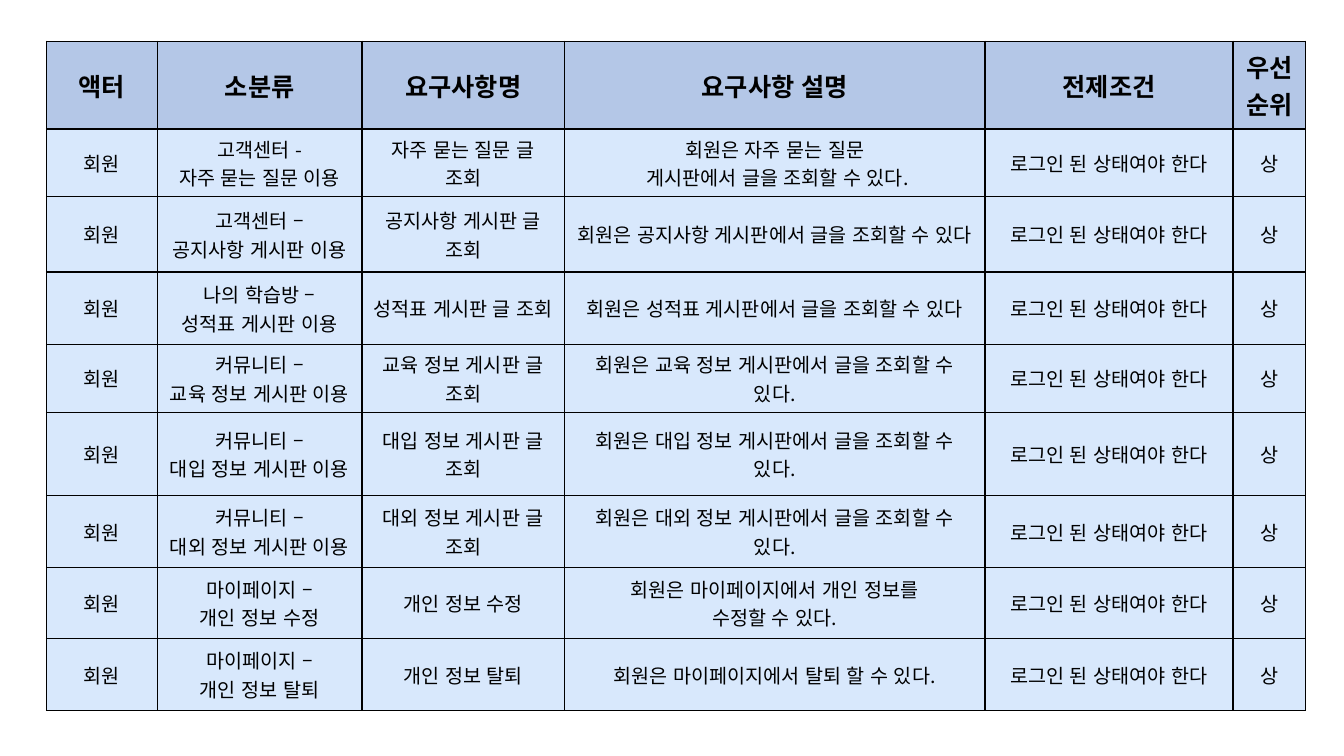
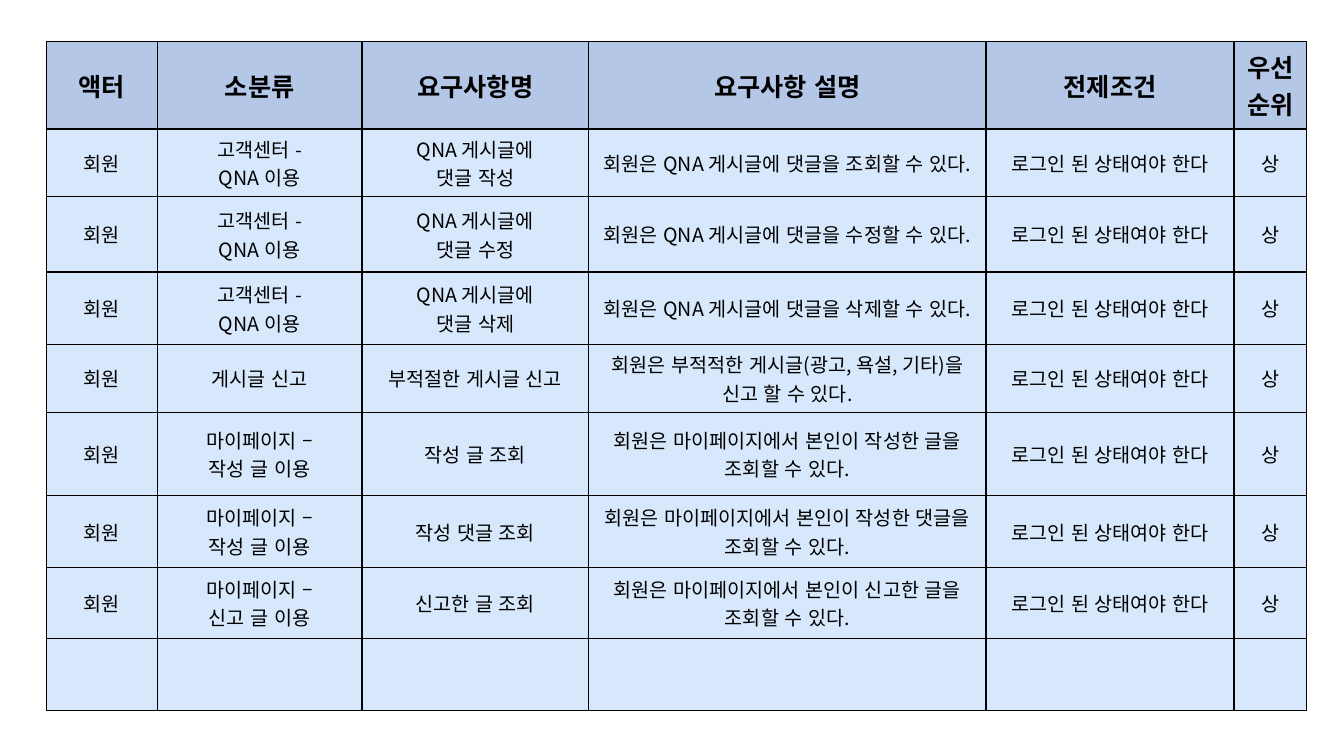
from dataclasses import dataclass

import pptx
import pptx.dml.color
import pptx.enum.lang
import pptx.enum.text
import pptx.oxml
import pptx.oxml.ns
import pptx.presentation
import pptx.table
import pptx.util

Inches = pptx.util.Inches
RGBColor = pptx.dml.color.RGBColor

# Shared look
FONT = "Noto Sans CJK KR"
BLACK = RGBColor(0x00, 0x00, 0x00)
HEADER_BLUE = RGBColor(0xB4, 0xC7, 0xE7)
BODY_BLUE = RGBColor(0xD8, 0xE8, 0xFC)
BORDER_WIDTH = pptx.util.Pt(1)
LEFT, TOP = 0.46, 0.41
ROW_HEIGHTS = (0.87, 0.67, 0.75, 0.72, 0.67, 0.83, 0.71, 0.71, 0.71)
HEADINGS = ("액터", "소분류", "요구사항명", "요구사항 설명", "전제조건", "우선순위")


@dataclass(frozen=True)
class CellStyle:
    fill: RGBColor
    size: int
    bold: bool


HEADER_STYLE = CellStyle(HEADER_BLUE, 18, True)
BODY_STYLE = CellStyle(BODY_BLUE, 14, False)


@dataclass(frozen=True)
class Requirement:
    category: str
    title: str
    description: str
    actor: str = "회원"
    precondition: str = "로그인 된 상태여야 한다"
    priority: str = "상"

    def texts(self) -> tuple[str, ...]:
        return (self.actor, self.category, self.title,
                self.description, self.precondition, self.priority)


@dataclass(frozen=True)
class RequirementPage:
    column_widths: tuple[float, ...]
    requirements: tuple[Requirement, ...]


# Content
def board_reading(topic: str) -> Requirement:
    return Requirement(f"커뮤니티 –\n{topic} 정보 게시판 이용",
                       f"{topic} 정보 게시판 글 조회",
                       f"회원은 {topic} 정보 게시판에서 글을 조회할 수 있다.")


def qna_comment(action: str, viewed: str) -> Requirement:
    return Requirement("고객센터 -\nQNA 이용",
                       f"QNA 게시글에\n댓글 {action}",
                       f"회원은 QNA 게시글에 댓글을 {viewed}할 수 있다.")


def own_posts(category: str, title: str, target: str) -> Requirement:
    return Requirement(f"마이페이지 –\n{category} 글 이용",
                       f"{title} 조회",
                       f"회원은 마이페이지에서 본인이 {target}을\n조회할 수 있다.")


PAGES = (
    RequirementPage((1.1, 2.03, 2.01, 4.17, 2.46, 0.72), (
        Requirement("고객센터 -\n자주 묻는 질문 이용", "자주 묻는 질문 글 조회",
                    "회원은 자주 묻는 질문\n 게시판에서 글을 조회할 수 있다."),
        Requirement("고객센터 –\n공지사항 게시판 이용", "공지사항 게시판 글\n조회",
                    "회원은 공지사항 게시판에서 글을 조회할 수 있다"),
        Requirement("나의 학습방 –\n성적표 게시판 이용", "성적표 게시판 글 조회",
                    "회원은 성적표 게시판에서 글을 조회할 수 있다"),
        board_reading("교육"),
        board_reading("대입"),
        board_reading("대외"),
        Requirement("마이페이지 –\n개인 정보 수정", "개인 정보 수정",
                    "회원은 마이페이지에서 개인 정보를\n수정할 수 있다."),
        Requirement("마이페이지 –\n개인 정보 탈퇴", "개인 정보 탈퇴",
                    "회원은 마이페이지에서 탈퇴 할 수 있다."),
    )),
    RequirementPage((1.1, 2.03, 2.25, 3.94, 2.46, 0.72), (
        qna_comment("작성", "조회"),
        qna_comment("수정", "수정"),
        qna_comment("삭제", "삭제"),
        Requirement("게시글 신고", "부적절한 게시글 신고",
                    "회원은 부적적한 게시글(광고, 욕설, 기타)을 신고 할 수 있다."),
        own_posts("작성", "작성 글", "작성한 글"),
        own_posts("작성", "작성 댓글", "작성한 댓글"),
        own_posts("신고", "신고한 글", "신고한 글"),
    )),
)


# Cell drawing
def add_borders(cell: pptx.table._Cell) -> None:
    properties = cell._tc.get_or_add_tcPr()
    for side in ("lnL", "lnR", "lnT", "lnB"):
        properties.append(pptx.oxml.parse_xml(
            f'<a:{side} {pptx.oxml.ns.nsdecls("a")} w="{BORDER_WIDTH}">'
            f'<a:solidFill><a:srgbClr val="{BLACK}"/></a:solidFill></a:{side}>'))


def write_cell(cell: pptx.table._Cell, text: str, style: CellStyle) -> None:
    add_borders(cell)
    cell.fill.solid()
    cell.fill.fore_color.rgb = style.fill
    cell.vertical_anchor = pptx.enum.text.MSO_ANCHOR.MIDDLE
    cell.text = text
    font_format = {"name": FONT, "size": pptx.util.Pt(style.size), "bold": style.bold,
                   "language_id": pptx.enum.lang.MSO_LANGUAGE_ID.KOREAN}
    for paragraph in cell.text_frame.paragraphs:
        paragraph.alignment = pptx.enum.text.PP_ALIGN.CENTER
        for run in paragraph.runs:
            for attribute, value in font_format.items():
                setattr(run.font, attribute, value)
            run.font.color.rgb = BLACK
            # East Asian typeface for the Korean text
            run._r.get_or_add_rPr().append(pptx.oxml.parse_xml(
                f'<a:ea {pptx.oxml.ns.nsdecls("a")} typeface="{FONT}"/>'))


# Page drawing
def add_page(deck: pptx.presentation.Presentation, page: RequirementPage) -> None:
    slide = deck.slides.add_slide(deck.slide_layouts[6])
    requirements_table = slide.shapes.add_table(
        len(ROW_HEIGHTS), len(HEADINGS), Inches(LEFT), Inches(TOP),
        Inches(sum(page.column_widths)), Inches(sum(ROW_HEIGHTS))).table
    requirements_table.first_row = False
    requirements_table.horz_banding = False
    for column, width in zip(requirements_table.columns, page.column_widths):
        column.width = Inches(width)

    filled_rows = [HEADINGS, *(entry.texts() for entry in page.requirements)]
    blank_rows = [("",) * len(HEADINGS)] * (len(ROW_HEIGHTS) - len(filled_rows))
    for index, texts in enumerate(filled_rows + blank_rows):
        row = requirements_table.rows[index]
        row.height = Inches(ROW_HEIGHTS[index])
        style = BODY_STYLE if index else HEADER_STYLE
        for cell, text in zip(row.cells, texts):
            write_cell(cell, text, style)


def main() -> None:
    deck = pptx.Presentation()
    deck.slide_width, deck.slide_height = Inches(13.33), Inches(7.5)
    for page in PAGES:
        add_page(deck, page)
    deck.save("out.pptx")


if __name__ == "__main__":
    main()
